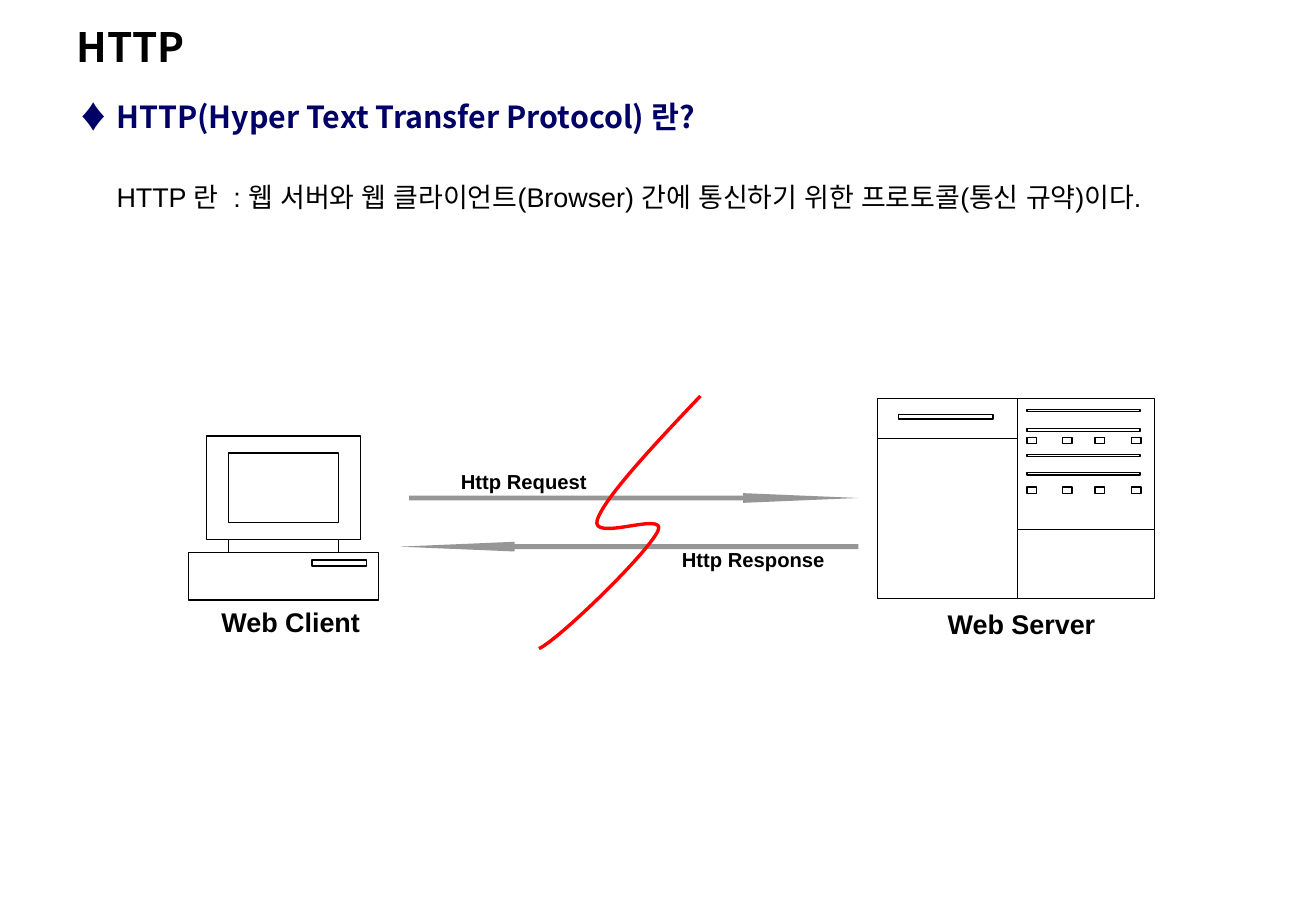
from lxml.etree import SubElement
from pptx import Presentation
from pptx.dml.color import RGBColor
from pptx.enum.shapes import MSO_SHAPE
from pptx.enum.text import MSO_ANCHOR, MSO_AUTO_SIZE, PP_ALIGN
from pptx.oxml.ns import qn
from pptx.util import Inches, Pt

COLORS = {"black": "000000", "navy": "000066", "gray": "969696", "red": "FF0000"}
KOREAN_FONT = "Noto Sans CJK KR"
LATIN_FONT = "Arial"


def color(name):
    return RGBColor.from_string(COLORS[name])


def place(shape, box):
    shape.left, shape.top, shape.width, shape.height = map(Inches, box)


def write(paragraph, text, size=16, font=LATIN_FONT, fill="black", bold=False,
          align=PP_ALIGN.LEFT, indent=0, hanging=0, spacing=1.0, before=0):
    paragraph.alignment = align
    paragraph.line_spacing = spacing
    paragraph.space_before = Pt(before)
    paragraph.space_after = Pt(0)
    properties = paragraph._p.get_or_add_pPr()
    properties.set("marL", str(Inches(indent)))
    properties.set("indent", str(-Inches(hanging)))
    SubElement(properties, qn("a:buNone"))
    run = paragraph.add_run()
    run.text = text
    run.font.size = Pt(size)
    run.font.name = font
    run.font.bold = bold
    run.font.color.rgb = color(fill)
    east_asian = SubElement(run._r.get_or_add_rPr(), qn("a:ea"))
    east_asian.set("typeface", font)


def prepare_frame(shape, margins, anchor):
    frame = shape.text_frame
    frame.word_wrap = True
    frame.auto_size = MSO_AUTO_SIZE.NONE
    frame.vertical_anchor = anchor
    (frame.margin_left, frame.margin_top,
     frame.margin_right, frame.margin_bottom) = map(Inches, margins)
    return frame


def add_title(slide, box):
    title = slide.shapes.title
    place(title, box)
    frame = prepare_frame(title, (0, 0.05, 0, 0.05), MSO_ANCHOR.MIDDLE)
    write(frame.paragraphs[0], "HTTP", size=24, font=KOREAN_FONT, bold=True)


def add_definition(slide, box):
    body = slide.placeholders[1]
    place(body, box)
    frame = prepare_frame(body, (0, 0, 0, 0.05), MSO_ANCHOR.TOP)
    write(frame.paragraphs[0], "♦ HTTP(Hyper Text Transfer Protocol) 란?",
          size=18, font=KOREAN_FONT, fill="navy", bold=True,
          align=PP_ALIGN.JUSTIFY, indent=0.33, hanging=0.33, spacing=1.2)
    write(frame.add_paragraph(),
          "HTTP 란  : 웹 서버와 웹 클라이언트(Browser) 간에 통신하기 위한 프로토콜(통신 규약)이다.",
          align=PP_ALIGN.JUSTIFY, indent=0.31, spacing=1.2, before=23.5)


def add_label(slide, text, box, size):
    label = slide.shapes.add_textbox(*map(Inches, box))
    frame = prepare_frame(label, (0.1, 0.05, 0.1, 0.05), MSO_ANCHOR.MIDDLE)
    write(frame.paragraphs[0], text, size=size, bold=True, align=PP_ALIGN.CENTER)


def add_outline(slide, box, contours, line="black", width=0.75):
    left, top = box[:2]
    points = [[(Inches(left + x), Inches(top + y)) for x, y in contour]
              for contour in contours]
    builder = slide.shapes.build_freeform(*points[0][0])
    for number, contour in enumerate(points):
        if number:
            builder.move_to(*contour[0])
        builder.add_line_segments(contour[1:], close=False)
    shape = builder.convert_to_shape()
    shape.shadow.inherit = False
    shape.fill.background()
    shape.line.color.rgb = color(line)
    shape.line.width = Pt(width)
    return shape


def rectangle(x, y, width, height):
    return [(x, y), (x + width, y), (x + width, y + height), (x, y + height), (x, y)]


def add_client(slide, box):
    width, height = box[2:]
    monitor = rectangle(0.15, 0, 1.27, 0.85)
    screen = rectangle(0.33, 0.14, 0.91, 0.57)
    neck = rectangle(0.33, 0.85, 0.91, 0.11)
    base = rectangle(0, 0.96, width, height - 0.96)
    drive = rectangle(1.02, 1.02, 0.45, 0.05)
    add_outline(slide, box, [monitor, screen, neck, base, drive])
    add_label(slide, "Web Client", (box[0] - 0.23, box[1] + height - 0.01, 2.15, 0.37), 16)


def add_server(slide, box):
    width, height = box[2:]
    middle = 1.15
    cabinet = rectangle(0, 0, width, height)
    drive = rectangle(0.17, 0.13, 0.78, 0.04)
    dividers = [[(0, 0.33), (middle, 0.33)],
                [(middle, 0), (middle, height)],
                [(middle, 1.08), (width, 1.08)]]
    vents = [rectangle(1.23, y, 0.93, 0.02) for y in (0.09, 0.25, 0.46, 0.61)]
    buttons = [rectangle(x, y, 0.08, 0.05)
               for y in (0.32, 0.73) for x in (1.23, 1.52, 1.79, 2.09)]
    add_outline(slide, box, [cabinet, drive, *dividers, *vents, *buttons])
    add_label(slide, "Web Server", (box[0] + 0.1, box[1] + height + 0.02, 2.17, 0.37), 16)


def add_arrow(slide, box, rotation=0):
    arrow = slide.shapes.add_shape(MSO_SHAPE.RIGHT_ARROW, *map(Inches, box))
    arrow.adjustments[0] = 0.5
    arrow.adjustments[1] = 11.87
    arrow.rotation = rotation
    arrow.shadow.inherit = False
    arrow.fill.solid()
    arrow.fill.fore_color.rgb = color("gray")
    arrow.line.fill.background()


def add_network_break(slide, box):
    curve = [(1.33, 0), (0.93, 0.42), (0.54, 0.84), (0.48, 1.02), (0.42, 1.21),
             (1.06, 0.94), (0.98, 1.11), (0.9, 1.29), (0.17, 2.0), (0, 2.08)]
    shape = add_outline(slide, box, [curve], line="red", width=2)
    outline = shape._element.find(".//" + qn("a:path"))
    segments = outline.findall(qn("a:lnTo"))
    for start in range(0, len(segments), 3):
        bezier = SubElement(outline, qn("a:cubicBezTo"))
        for segment in segments[start:start + 3]:
            bezier.append(segment[0])
            outline.remove(segment)


def add_exchange(slide, box):
    left, top, width, _ = box
    add_arrow(slide, (left + 0.08, top + 0.86, width - 0.08, 0.08))
    add_arrow(slide, (left, top + 1.26, width, 0.08), rotation=180)
    add_label(slide, "Http Request", (left + 0.03, top + 0.61, 1.99, 0.3), 12)
    add_label(slide, "Http Response", (left + 2.13, top + 1.26, 1.57, 0.3), 12)
    add_network_break(slide, (left + 1.15, top + 0.06, 1.33, 2.08))


def main():
    presentation = Presentation()
    presentation.slide_width = Inches(10.84)
    presentation.slide_height = Inches(7.5)
    slide = presentation.slides.add_slide(presentation.slide_layouts[1])
    add_title(slide, (0.63, 0.16, 6.12, 0.45))
    add_definition(slide, (0.65, 0.75, 9.88, 2.37))
    add_exchange(slide, (3.29, 3.2, 3.78, 2.2))
    add_client(slide, (1.55, 3.59, 1.57, 1.35))
    add_server(slide, (7.23, 3.28, 2.28, 1.65))
    presentation.save("out.pptx")


if __name__ == "__main__":
    main()
